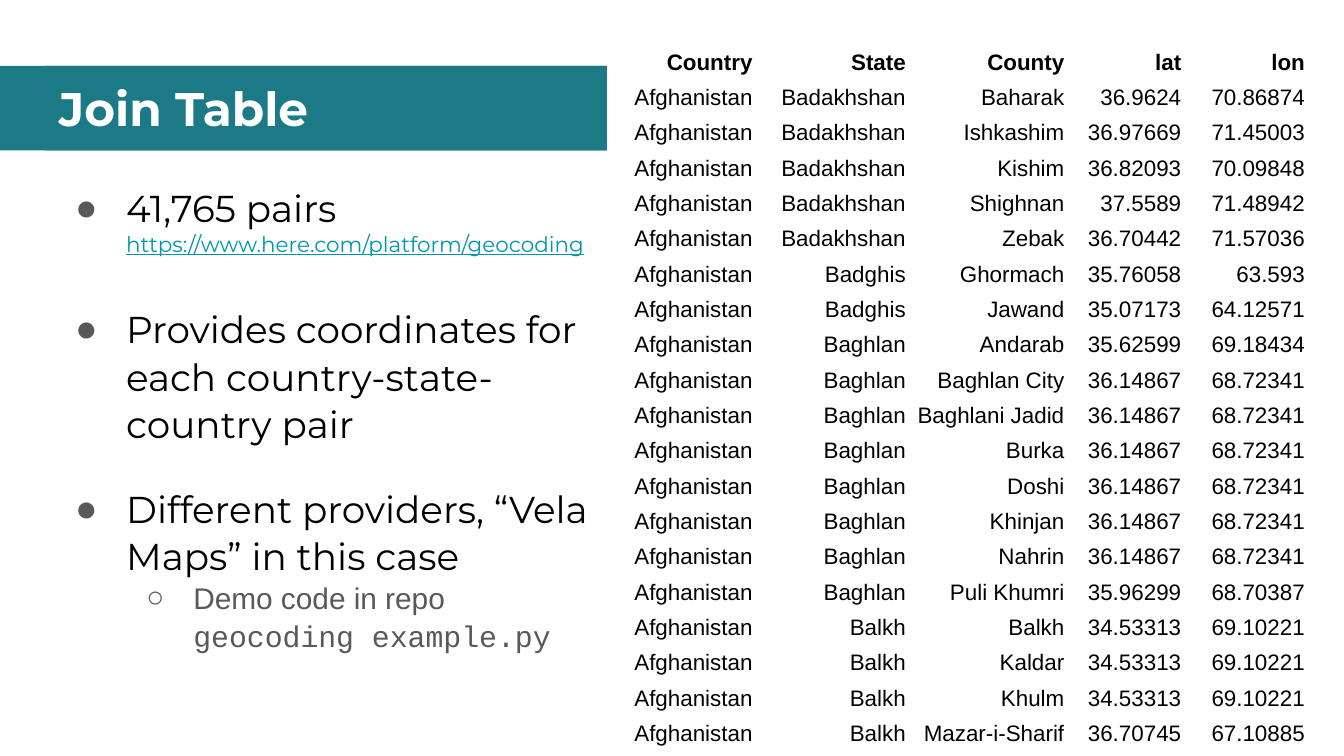
from typing import NamedTuple

from lxml import etree
from pptx import Presentation
from pptx.dml.color import RGBColor
from pptx.enum.shapes import MSO_SHAPE
from pptx.enum.text import MSO_ANCHOR, PP_ALIGN
from pptx.oxml.ns import qn
from pptx.util import Inches, Pt

RECTANGLE = MSO_SHAPE.RECTANGLE
LEFT, RIGHT = PP_ALIGN.LEFT, PP_ALIGN.RIGHT
TOP, MIDDLE = MSO_ANCHOR.TOP, MSO_ANCHOR.MIDDLE
BLACK, WHITE, GREY, TEAL, LINK = "000000", "FFFFFF", "595959", "1B7A86", "0097A7"
HEADING_FONT, PLAIN_FONT, CODE_FONT = "Montserrat", "Arial", "Courier New"


class Line(NamedTuple):
    text: str
    size: float = 20
    font: str = HEADING_FONT
    color: str = BLACK
    underline: bool = False


class Bullet(NamedTuple):
    lines: list[Line]
    mark: str = "●"
    level: int = 0
    indent: float = 0.5
    hanging: float = 0.38
    space_before: float = 0


BULLETS = [
    Bullet([
        Line("41,765 pairs"),
        Line("https://www.here.com/platform/geocoding", 11.5, color=LINK, underline=True),
    ]),
    Bullet([Line("Provides coordinates for each country-state-country pair")], space_before=25.5),
    Bullet([Line("Different providers, “Vela Maps” in this case")], space_before=20.5),
    Bullet([
        Line("Demo code in repo", 16, PLAIN_FONT, GREY),
        Line("geocoding example.py", 16, CODE_FONT, GREY),
    ], mark="○", level=1, indent=1, hanging=0.35),
]

HEADERS = ("Country", "State", "County", "lat", "lon")
COLUMN_WIDTHS = (1.09, 1.14, 1.18, 0.87, 0.92)
COUNTRY = "Afghanistan"
COUNTIES = [
    ("Badakhshan", "Baharak", "36.9624", "70.86874"),
    ("Badakhshan", "Ishkashim", "36.97669", "71.45003"),
    ("Badakhshan", "Kishim", "36.82093", "70.09848"),
    ("Badakhshan", "Shighnan", "37.5589", "71.48942"),
    ("Badakhshan", "Zebak", "36.70442", "71.57036"),
    ("Badghis", "Ghormach", "35.76058", "63.593"),
    ("Badghis", "Jawand", "35.07173", "64.12571"),
    ("Baghlan", "Andarab", "35.62599", "69.18434"),
    ("Baghlan", "Baghlan City", "36.14867", "68.72341"),
    ("Baghlan", "Baghlani Jadid", "36.14867", "68.72341"),
    ("Baghlan", "Burka", "36.14867", "68.72341"),
    ("Baghlan", "Doshi", "36.14867", "68.72341"),
    ("Baghlan", "Khinjan", "36.14867", "68.72341"),
    ("Baghlan", "Nahrin", "36.14867", "68.72341"),
    ("Baghlan", "Puli Khumri", "35.96299", "68.70387"),
    ("Balkh", "Balkh", "34.53313", "69.10221"),
    ("Balkh", "Kaldar", "34.53313", "69.10221"),
    ("Balkh", "Khulm", "34.53313", "69.10221"),
    ("Balkh", "Mazar-i-Sharif", "36.70745", "67.10885"),
]


def paint(fill, color: str) -> None:
    fill.solid()
    fill.fore_color.rgb = RGBColor.from_string(color)


def write(paragraph, text: str, *, size: float, font: str, color: str,
          bold: bool = False, underline: bool = False, align=LEFT) -> None:
    paragraph.alignment = align
    run = paragraph.add_run()
    run.text = text
    run.font.size = Pt(size)
    run.font.name = font
    run.font.bold = bold
    run.font.underline = underline
    run.font.color.rgb = RGBColor.from_string(color)


def set_margins(frame, margin: float) -> None:
    """Set equal margins on a text frame or a table cell."""
    frame.margin_left = frame.margin_right = Inches(margin)
    frame.margin_top = frame.margin_bottom = Inches(margin)


def add_band(slide, left: float, top: float, width: float, height: float):
    band = slide.shapes.add_shape(
        RECTANGLE, Inches(left), Inches(top), Inches(width), Inches(height))
    band.shadow.inherit = False
    paint(band.fill, TEAL)
    band.line.fill.background()
    return band


def add_title(slide) -> None:
    add_band(slide, 0, 0.49, 9.66, 0.63)
    title = add_band(slide, 0.34, 0.49, 9.32, 0.63).text_frame
    set_margins(title, 0.1)
    title.vertical_anchor = MIDDLE
    write(title.paragraphs[0], "Join Table", size=25.2, font=HEADING_FONT,
          color=WHITE, bold=True)


def add_coordinates(slide) -> None:
    rows = [HEADERS] + [(COUNTRY, *county) for county in COUNTIES]
    height = 5.26
    table = slide.shapes.add_table(
        len(rows), len(HEADERS), Inches(4.52), Inches(0.36),
        Inches(sum(COLUMN_WIDTHS)), Inches(height)).table
    for column, width in zip(table.columns, COLUMN_WIDTHS):
        column.width = Inches(width)
    for r, values in enumerate(rows):
        table.rows[r].height = Inches(height / len(rows))
        for c, value in enumerate(values):
            cell = table.cell(r, c)
            set_margins(cell, 0.01)
            cell.vertical_anchor = TOP
            paint(cell.fill, WHITE)
            write(cell.text_frame.paragraphs[0], value, size=12, font=PLAIN_FONT,
                  color=BLACK, bold=r == 0, align=RIGHT)


def set_bullet(paragraph, bullet: Bullet) -> None:
    paragraph.level = bullet.level
    properties = paragraph._p.get_or_add_pPr()
    properties.set("marL", str(Inches(bullet.indent)))
    properties.set("indent", str(-Inches(bullet.hanging)))
    color = etree.SubElement(properties, qn("a:buClr"))
    etree.SubElement(color, qn("a:srgbClr"), val=GREY)
    etree.SubElement(properties, qn("a:buFont"), typeface=PLAIN_FONT)
    etree.SubElement(properties, qn("a:buChar"), char=bullet.mark)


def add_bullets(slide) -> None:
    body = slide.shapes.add_textbox(
        Inches(0.34), Inches(1.26), Inches(4.18), Inches(4)).text_frame
    body.word_wrap = True
    set_margins(body, 0.1)
    for i, bullet in enumerate(BULLETS):
        paragraph = body.add_paragraph() if i else body.paragraphs[0]
        paragraph.line_spacing = 1.05
        paragraph.space_before = Pt(bullet.space_before)
        set_bullet(paragraph, bullet)
        for j, line in enumerate(bullet.lines):
            if j:
                paragraph.add_line_break()
            write(paragraph, line.text, size=line.size, font=line.font,
                  color=line.color, underline=line.underline)


def main() -> None:
    presentation = Presentation()
    presentation.slide_width = Inches(10)
    presentation.slide_height = Inches(10 * 9 / 16)
    slide = presentation.slides.add_slide(presentation.slide_layouts[6])
    paint(slide.background.fill, WHITE)
    add_title(slide)
    add_coordinates(slide)
    add_bullets(slide)
    presentation.save("out.pptx")


if __name__ == "__main__":
    main()
